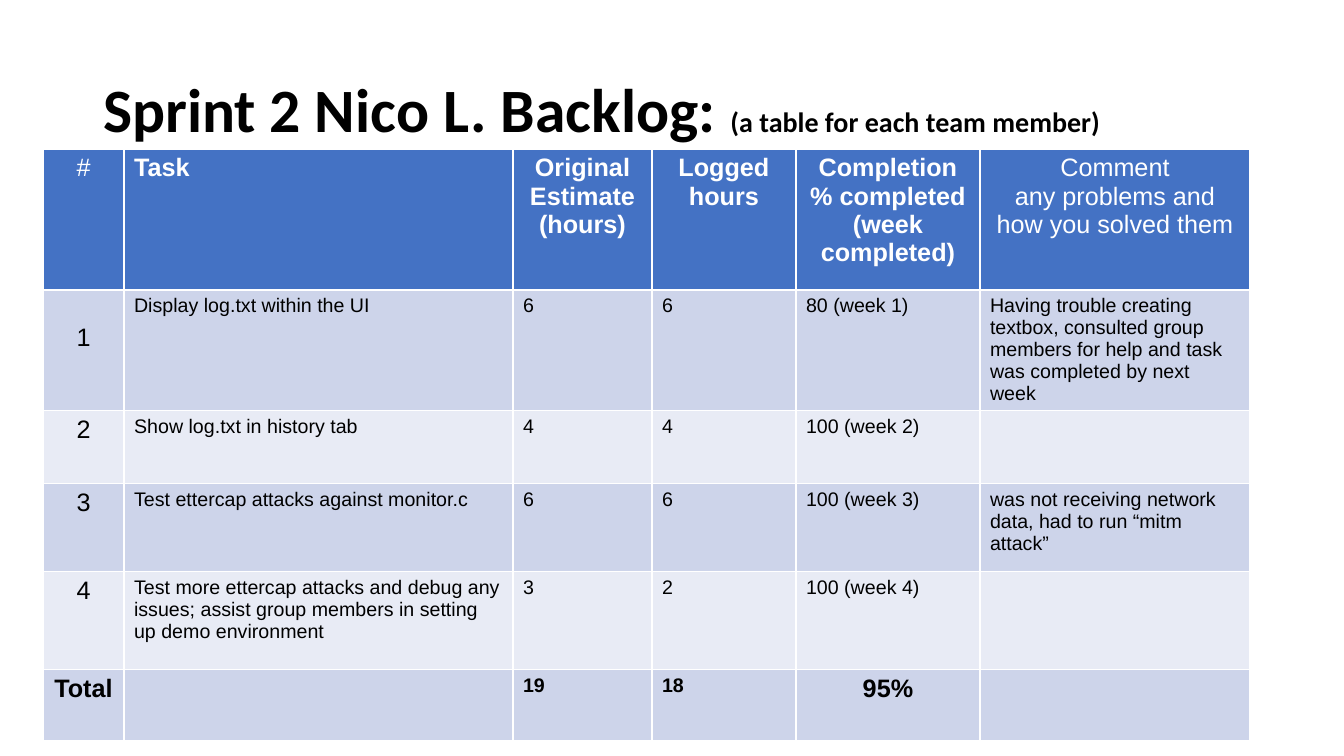
from dataclasses import dataclass

from pptx import Presentation
from pptx import util as u
from pptx.dml.color import RGBColor
from pptx.enum import text


@dataclass(frozen=True)
class Theme:
    title_font: str = "Calibri"
    table_font: str = "Arial"
    ink: str = "000000"
    header_ink: str = "FFFFFF"
    header_fill: str = "4472C4"
    band_fills: tuple = ("CDD4EA", "E8EBF5")
    title_size: int = 44
    note_size: int = 20
    label_size: int = 18
    entry_size: int = 14


THEME = Theme()
LEFT, CENTER = text.PP_ALIGN.LEFT, text.PP_ALIGN.CENTER

COLUMN_WIDTHS = [81, 389, 139, 144, 184, 270]
ROW_HEIGHTS = [141, 119, 73, 88, 98, 71]
HEADINGS = [
    "#",
    "Task",
    "Original Estimate (hours)",
    "Logged hours",
    "Completion\n% completed (week completed)",
    "Comment\nany problems and how you solved them",
]
TASKS = [
    ["1", "Display log.txt within the UI", "6", "6", "80 (week 1)",
     "Having trouble creating textbox, consulted group members for help "
     "and task was completed by next week"],
    ["2", "Show log.txt in history tab", "4", "4", "100 (week 2)", ""],
    ["3", "Test ettercap attacks against monitor.c", "6", "6", "100 (week 3)",
     "was not receiving network data, had to run “mitm attack”"],
    ["4", "Test more ettercap attacks and debug any issues; assist group "
     "members in setting up demo environment", "3", "2", "100 (week 4)", ""],
]
TOTALS = ["Total", "", "19", "18", "95%", ""]


def px(length):
    return u.Emu(round(length * 914400 / 100.8))


def style_font(font, face, size, color, bold):
    font.name = face
    font.size = u.Pt(size)
    font.bold = bold
    font.color.rgb = RGBColor.from_string(color)


def add_title(slide, heading, note):
    title = slide.shapes.title
    title.left, title.top, title.width, title.height = map(px, (93, 40, 1159, 146))
    frame = title.text_frame
    frame.auto_size = text.MSO_AUTO_SIZE.NONE
    frame.word_wrap = True
    frame.vertical_anchor = text.MSO_ANCHOR.MIDDLE
    line = frame.paragraphs[0]
    line.alignment = LEFT
    line.line_spacing = 0.9
    for wording, size in ((heading, THEME.title_size), (note, THEME.note_size)):
        run = line.add_run()
        run.text = wording
        style_font(run.font, THEME.title_font, size, THEME.ink, True)


def fill_cell(cell, wording, fill, color, size, bold, alignment):
    cell.fill.solid()
    cell.fill.fore_color.rgb = RGBColor.from_string(fill)
    cell.text_frame.text = wording
    for paragraph in cell.text_frame.paragraphs:
        paragraph.alignment = alignment
        style_font(paragraph.font, THEME.table_font, size, color, bold)
        for run in paragraph.runs:
            style_font(run.font, THEME.table_font, size, color, bold)


def fill_header(backlog):
    for column, heading in enumerate(HEADINGS):
        fill_cell(backlog.cell(0, column), heading, THEME.header_fill,
                  THEME.header_ink, THEME.label_size,
                  bold=0 < column < len(HEADINGS) - 1,
                  alignment=LEFT if column == 1 else CENTER)


def fill_row(backlog, row, entries, label_columns, bold):
    fill = THEME.band_fills[(row - 1) % 2]
    for column, entry in enumerate(entries):
        is_label = column in label_columns
        fill_cell(backlog.cell(row, column), entry, fill, THEME.ink,
                  THEME.label_size if is_label else THEME.entry_size,
                  bold, CENTER if is_label else LEFT)


def add_backlog(slide):
    backlog = slide.shapes.add_table(
        len(ROW_HEIGHTS), len(COLUMN_WIDTHS), px(43), px(149),
        px(sum(COLUMN_WIDTHS)), px(sum(ROW_HEIGHTS))).table
    for column, width in zip(backlog.columns, COLUMN_WIDTHS):
        column.width = px(width)
    for row, height in zip(backlog.rows, ROW_HEIGHTS):
        row.height = px(height)
    fill_header(backlog)
    for row, task in enumerate(TASKS, start=1):
        fill_row(backlog, row, task, label_columns=(0,), bold=False)
    fill_row(backlog, len(TASKS) + 1, TOTALS, label_columns=(0, 4), bold=True)
    backlog.cell(1, 0).margin_top = px(34)


def main():
    deck = Presentation()
    deck.slide_width, deck.slide_height = px(1344), px(756)
    slide = deck.slides.add_slide(deck.slide_layouts.get_by_name("Title Only"))
    add_title(slide, "Sprint 2 Nico L. Backlog: ", "(a table for each team member)")
    add_backlog(slide)
    deck.save("out.pptx")


if __name__ == "__main__":
    main()
